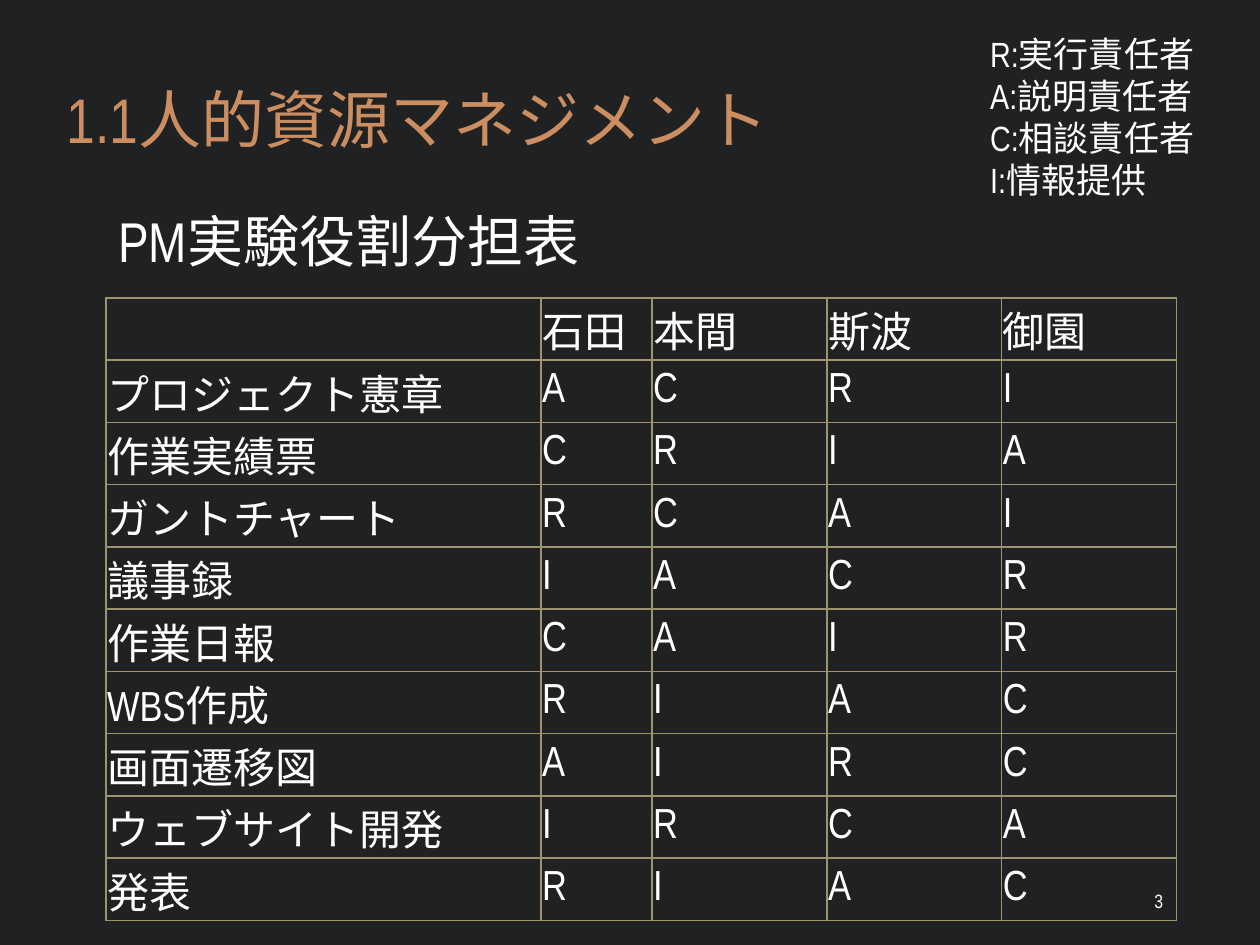
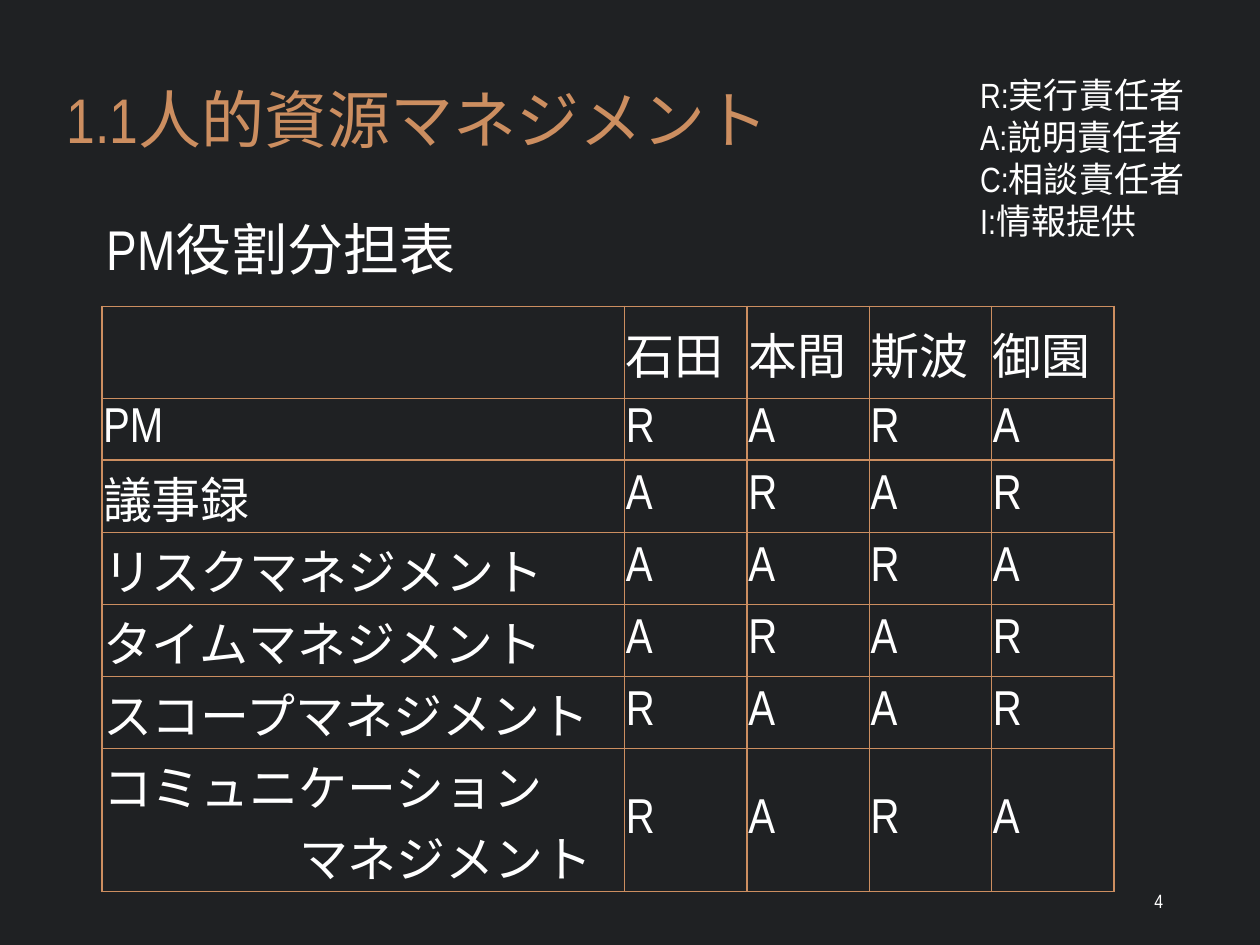
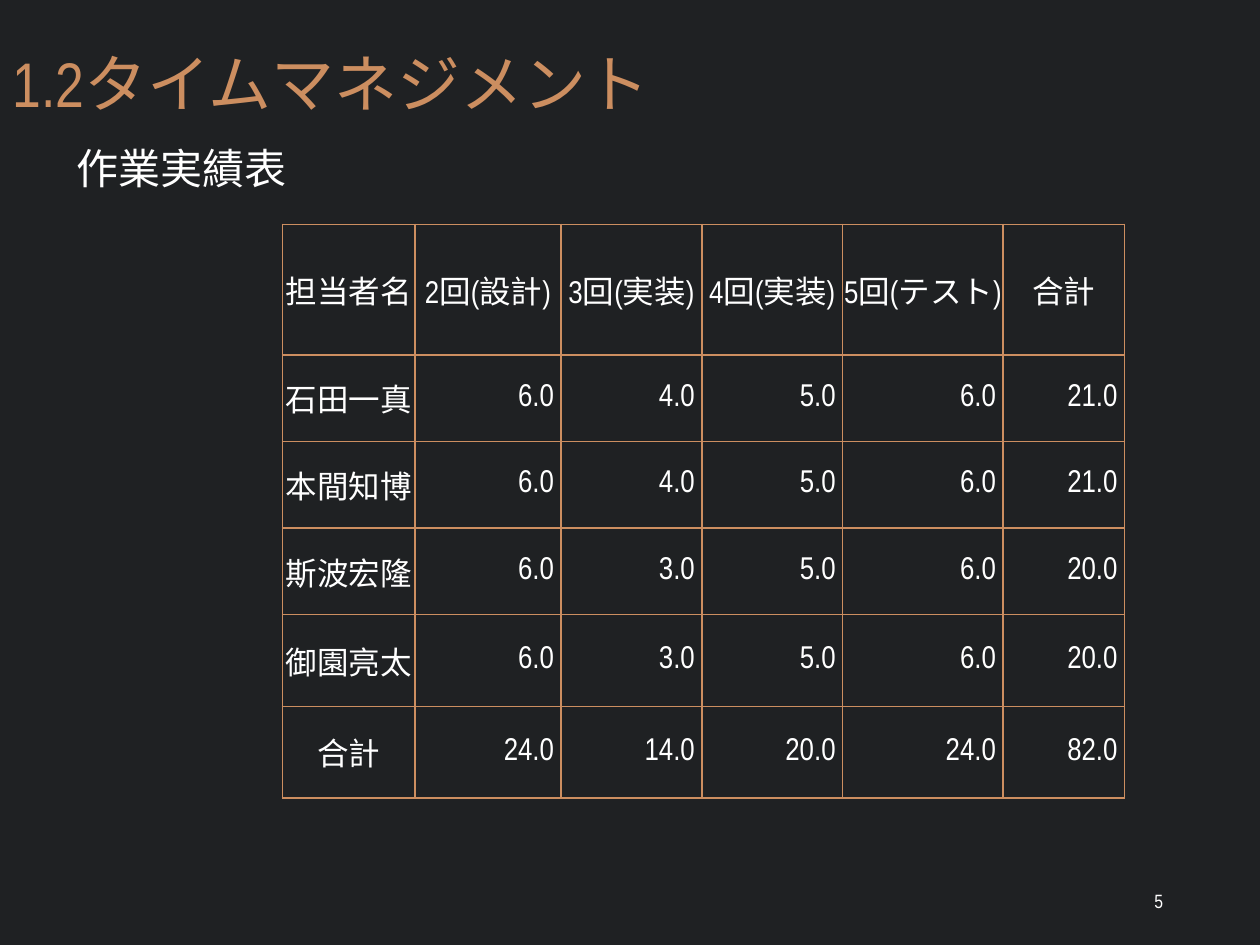
from dataclasses import dataclass

from lxml.etree import SubElement
from pptx import Presentation
from pptx.dml.color import RGBColor
from pptx.enum.text import MSO_ANCHOR as Anchor, MSO_AUTO_SIZE as AutoSize, PP_ALIGN as Align
from pptx.oxml import parse_xml
from pptx.oxml.ns import nsdecls, qn
from pptx.util import Pt

FONT = "Arial Narrow"
BACKGROUND = RGBColor(0x1F, 0x21, 0x23)
ACCENT = RGBColor(0xCC, 0x8E, 0x60)
OLIVE = RGBColor(0x9D, 0x93, 0x6F)
WHITE = RGBColor(0xFF, 0xFF, 0xFF)
MEMBERS = ["", "石田", "本間", "斯波", "御園"]
LEGEND = "R:実行責任者\nA:説明責任者\nC:相談責任者\nI:情報提供"
RACI_TITLE = "1.1人的資源マネジメント"


@dataclass
class Label:
    """A text box, placed in points."""

    text: str
    left: float
    top: float
    width: float
    height: float
    size: float = 20
    color: RGBColor = WHITE
    align: Align = Align.LEFT
    anchor: Anchor = Anchor.TOP


@dataclass
class Grid:
    """A bordered table, placed in points."""

    left: float
    top: float
    columns: list[float]
    heights: list[float]
    rows: list[list[str]]
    size: float
    line: RGBColor = ACCENT
    margin: float = 0.72
    has_spacer: bool = False
    is_numeric: bool = False


@dataclass
class PageContent:
    """Everything that one page shows."""

    number: int
    labels: list[Label]
    grid: Grid


def title(text: str, left: float, top: float) -> Label:
    """Return a page title in the shared style."""
    return Label(text, left, top, 720, 51, 36, ACCENT)


def raci_rows(tasks: dict[str, str]) -> list[list[str]]:
    """Expand a letter per member into table rows under the member names."""
    return [MEMBERS] + [[task, *roles] for task, roles in tasks.items()]


def style_para(para, size: float, color: RGBColor, align: Align) -> None:
    """Set the font and alignment of a paragraph."""
    para.alignment = align
    para.font.name = FONT
    para.font.size = Pt(size)
    para.font.color.rgb = color


def draw_label(page, label: Label) -> None:
    """Draw a text box."""
    box = page.shapes.add_textbox(Pt(label.left), Pt(label.top), Pt(label.width), Pt(label.height))
    frame = box.text_frame
    frame.word_wrap = True
    frame.auto_size = AutoSize.NONE
    frame.vertical_anchor = label.anchor
    frame.text = label.text
    for para in frame.paragraphs:
        style_para(para, label.size, label.color, label.align)


def set_borders(cell, color: RGBColor, sides: str) -> None:
    """Draw the given sides of a cell, and clear the others."""
    properties = cell._tc.get_or_add_tcPr()
    for position, side in enumerate("LRTB"):
        line = parse_xml(f'<a:ln{side} {nsdecls("a")} w="{Pt(1)}"/>')
        if side in sides:
            fill = SubElement(line, qn("a:solidFill"))
            SubElement(fill, qn("a:srgbClr"), val=str(color))
        else:
            SubElement(line, qn("a:noFill"))
        properties.insert(position, line)


def fill_cell(cell, text: str, grid: Grid, align: Align, sides: str = "LRTB") -> None:
    """Write and style one table cell; later lines are indented by four characters."""
    cell.margin_left = cell.margin_right = cell.margin_top = Pt(grid.margin)
    cell.margin_bottom = Pt(0)
    cell.vertical_anchor = Anchor.MIDDLE
    cell.text = text
    for index, para in enumerate(cell.text_frame.paragraphs):
        style_para(para, grid.size if text else 12, WHITE, align)
        if index:
            para._p.get_or_add_pPr().set("marL", str(Pt(4 * grid.size)))
    if align == Align.RIGHT:
        cell.margin_right = Pt(4)
    cell.fill.background()
    set_borders(cell, grid.line, sides)


def draw_grid(page, grid: Grid) -> None:
    """Draw a table, with an open merged row on top if it has a spacer."""
    table = page.shapes.add_table(
        len(grid.heights), len(grid.columns), Pt(grid.left), Pt(grid.top),
        Pt(sum(grid.columns)), Pt(sum(grid.heights)),
    ).table
    table.first_row = table.horz_banding = False
    for column, width in zip(table.columns, grid.columns):
        column.width = Pt(width)
    for row, height in zip(table.rows, grid.heights):
        row.height = Pt(height)
    first = int(grid.has_spacer)
    if grid.has_spacer:
        for cell in table.rows[0].cells:
            fill_cell(cell, "", grid, Align.LEFT, "B")
        table.cell(0, 0).merge(table.cell(0, len(grid.columns) - 1))
    for r, texts in enumerate(grid.rows):
        for c, text in enumerate(texts):
            align = Align.LEFT
            if grid.is_numeric:
                align = Align.RIGHT if r and c else Align.CENTER
            fill_cell(table.cell(r + first, c), text, grid, align)


def draw_page(deck, content: PageContent) -> None:
    """Add one page with its table, labels and number."""
    page = deck.slides.add_slide(deck.slide_layouts[6])
    page.background.fill.solid()
    page.background.fill.fore_color.rgb = BACKGROUND
    draw_grid(page, content.grid)
    number = Label(str(content.number), 594, 500.4, 77.8, 28.8, 11,
                   align=Align.RIGHT, anchor=Anchor.MIDDLE)
    for label in [*content.labels, number]:
        draw_label(page, label)


EXPERIMENT_ROLES = {
    "プロジェクト憲章": "ACRI",
    "作業実績票": "CRIA",
    "ガントチャート": "RCAI",
    "議事録": "IACR",
    "作業日報": "CAIR",
    "WBS作成": "RIAC",
    "画面遷移図": "AIRC",
    "ウェブサイト開発": "IRCA",
    "発表": "RIAC",
}
MANAGEMENT_ROLES = {
    "PM": "RARA",
    "議事録": "ARAR",
    "リスクマネジメント": "AARA",
    "タイムマネジメント": "ARAR",
    "スコープマネジメント": "RAAR",
    "コミュニケーション\nマネジメント": "RARA",
}
WORK_HOURS = [
    ["担当者名", "2回(設計)", "3回(実装)", "4回(実装)", "5回(テスト)", "合計"],
    ["石田一真", "6.0", "4.0", "5.0", "6.0", "21.0"],
    ["本間知博", "6.0", "4.0", "5.0", "6.0", "21.0"],
    ["斯波宏隆", "6.0", "3.0", "5.0", "6.0", "20.0"],
    ["御園亮太", "6.0", "3.0", "5.0", "6.0", "20.0"],
    ["合計", "24.0", "14.0", "20.0", "24.0", "82.0"],
]
PAGES = [
    PageContent(
        3,
        [title(RACI_TITLE, 31, 42.5),
         Label("PM実験役割分担表", 60.5, 114.5, 300, 46, 32),
         Label(LEGEND, 558.7, 15.1, 181.4, 104.4)],
        Grid(60.5, 134.6, [248.6, 63.4, 100, 100, 100], [35.6] * 11,
             raci_rows(EXPERIMENT_ROLES), 24, OLIVE, has_spacer=True),
    ),
    PageContent(
        4,
        [title(RACI_TITLE, 31, 42.5),
         Label("PM役割分担表", 54, 118.8, 380, 46, 32),
         Label(LEGEND, 553, 38.2, 167, 104.4)],
        Grid(58.2, 157, [298.8] + [69.9] * 4, [18, 52.6, 35.4] + [41.2] * 4 + [81.6],
             raci_rows(MANAGEMENT_ROLES), 28, has_spacer=True),
    ),
    PageContent(
        5,
        [title("1.2タイムマネジメント", 0, 21.6),
         Label("作業実績表", 36.7, 77.8, 260.6, 36, 24)],
        Grid(161.3, 128.2, [75.8, 83.5, 80.5, 80.5, 91.6, 69.5],
             [74.6] + [49.5] * 3 + [52.3] * 2, WORK_HOURS, 18, margin=0, is_numeric=True),
    ),
]


def main() -> None:
    """Build and save the deck."""
    deck = Presentation()
    deck.slide_width, deck.slide_height = Pt(720), Pt(540)
    for content in PAGES:
        draw_page(deck, content)
    deck.save("out.pptx")


if __name__ == "__main__":
    main()
